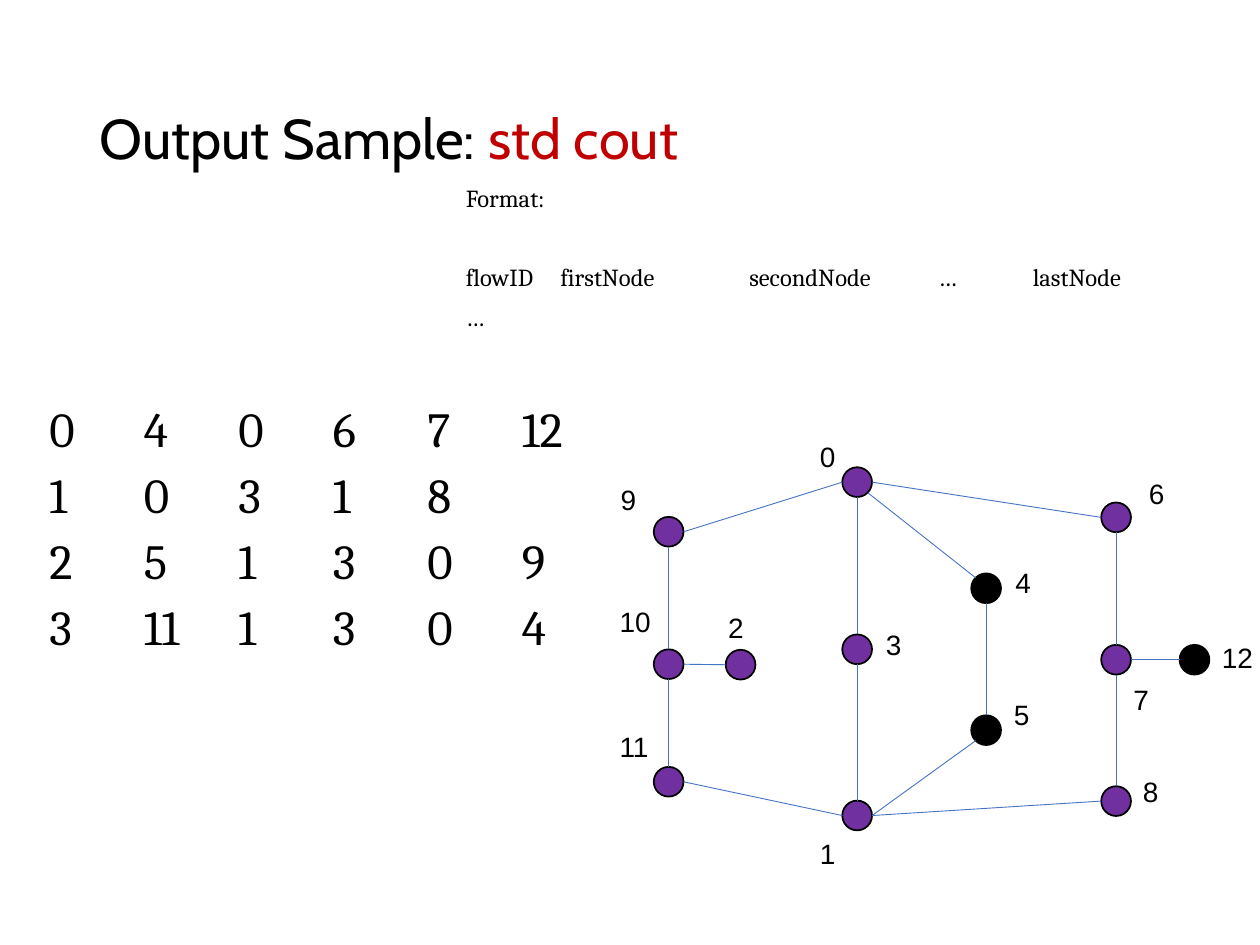
from dataclasses import dataclass
from math import hypot

from lxml import etree
from pptx import Presentation
from pptx import util as u
from pptx.dml.color import RGBColor
from pptx.enum import shapes, text
from pptx.oxml import ns

COLORS = {"ink": "000000", "accent": "C00000", "path": "7030A0", "edge": "4472C4"}
DIAMETER = 0.6
TAB_STEP = u.Cm(1.905)


@dataclass(frozen=True)
class Node:
    """A graph node: centre, label corner (cm) and fill colour."""
    x: float
    y: float
    label_x: float
    label_y: float
    color: str = "path"


@dataclass(frozen=True)
class Edge:
    """A line between two nodes, leaving each in a given direction."""
    start: int
    start_side: tuple[int, int]
    end: int
    end_side: tuple[int, int]


LEFT, RIGHT, UP, DOWN = (-1, 0), (1, 0), (0, -1), (0, 1)
UP_LEFT, DOWN_LEFT, DOWN_RIGHT = (-1, -1), (-1, 1), (1, 1)

NODES = [
    Node(17.28, 9.72, 16.28, 8.73),
    Node(17.28, 16.44, 16.28, 16.74),
    Node(14.93, 13.4, 14.43, 12.19),
    Node(17.28, 13.09, 17.61, 12.52),
    Node(19.88, 11.86, 20.22, 11.28, "ink"),
    Node(19.88, 14.72, 20.19, 13.93, "ink"),
    Node(22.5, 10.43, 22.91, 9.48),
    Node(22.5, 13.3, 22.6, 13.64),
    Node(22.5, 16.15, 22.79, 15.49),
    Node(13.48, 10.72, 12.26, 9.6),
    Node(13.48, 13.39, 12.24, 12.07),
    Node(13.48, 15.76, 12.24, 14.58),
    Node(24.08, 13.3, 24.38, 12.79, "ink"),
]

EDGES = [
    Edge(0, LEFT, 9, RIGHT),
    Edge(9, DOWN, 10, UP),
    Edge(10, DOWN, 11, UP),
    Edge(2, LEFT, 10, RIGHT),
    Edge(1, LEFT, 11, RIGHT),
    Edge(3, DOWN, 1, UP),
    Edge(0, DOWN, 3, UP),
    Edge(0, DOWN_RIGHT, 4, UP_LEFT),
    Edge(0, RIGHT, 6, LEFT),
    Edge(6, DOWN, 7, UP),
    Edge(7, DOWN, 8, UP),
    Edge(4, DOWN, 5, UP),
    Edge(5, DOWN_LEFT, 1, RIGHT),
    Edge(8, LEFT, 1, RIGHT),
    Edge(12, LEFT, 7, RIGHT),
]

FLOWS = [
    (0, 4, 0, 6, 7, 12),
    (1, 0, 3, 1, 8),
    (2, 5, 1, 3, 0, 9),
    (3, 11, 1, 3, 0, 4),
]


def rgb(name: str) -> RGBColor:
    """Look up a named colour."""
    return RGBColor.from_string(COLORS[name])


def place(box, left: float, top: float, width: float, height: float) -> None:
    """Set position and size in centimetres."""
    box.left, box.top = u.Cm(left), u.Cm(top)
    box.width, box.height = u.Cm(width), u.Cm(height)


def add_span(para, words: str, font: str, size: float, color: str = "ink") -> None:
    """Add one formatted run."""
    span = para.add_run()
    span.text = words
    span.font.name, span.font.size = font, u.Pt(size)
    span.font.color.rgb = rgb(color)


def fill_lines(frame, lines: list[str], size: float, gaps: dict[int, float]) -> None:
    """Write tabbed lines without bullets; gaps overrides the space before."""
    frame.word_wrap = True
    frame.auto_size = text.MSO_AUTO_SIZE.NONE
    for index, line in enumerate(lines):
        para = frame.paragraphs[0] if index == 0 else frame.add_paragraph()
        para.line_spacing = 0.9
        para.space_before = u.Pt(gaps.get(index, 7.5))
        props = para._p.get_or_add_pPr()
        for name, value in (("marL", 0), ("indent", 0), ("defTabSz", int(TAB_STEP))):
            props.set(name, str(value))
        etree.SubElement(props, ns.qn("a:buNone"))
        add_span(para, line, "Cambria", size)


def add_node(group, node: Node) -> None:
    """Draw a node's circle."""
    corner = (node.x - DIAMETER / 2, node.y - DIAMETER / 2)
    circle = group.shapes.add_shape(shapes.MSO_SHAPE.OVAL, *map(
        u.Cm, (*corner, DIAMETER, DIAMETER)))
    circle.shadow.inherit = False
    circle.fill.solid()
    circle.fill.fore_color.rgb = rgb(node.color)
    circle.line.color.rgb = rgb("ink")
    circle.line.width = u.Pt(1)


def rim_point(node: Node, side: tuple[int, int]) -> tuple[u.Cm, u.Cm]:
    """Find the point on a circle's rim in the given direction."""
    scale = DIAMETER / 2 / hypot(*side)
    return u.Cm(node.x + side[0] * scale), u.Cm(node.y + side[1] * scale)


def add_edge(group, edge: Edge) -> None:
    """Draw a line between the rims of two nodes."""
    line = group.shapes.add_connector(
        shapes.MSO_CONNECTOR.STRAIGHT,
        *rim_point(NODES[edge.start], edge.start_side),
        *rim_point(NODES[edge.end], edge.end_side))
    line.line.color.rgb = rgb("edge")
    line.line.width = u.Pt(0.5)
    etree.SubElement(line._element.spPr, ns.qn("a:effectLst"))


def add_label(group, number: int, node: Node) -> None:
    """Write a node's number next to it."""
    width = 0.84 if number < 10 else 1.14
    box = group.shapes.add_textbox(*map(
        u.Cm, (node.label_x, node.label_y, width, 0.94)))
    box.text_frame.word_wrap = False
    box.text_frame.auto_size = text.MSO_AUTO_SIZE.SHAPE_TO_FIT_TEXT
    add_span(box.text_frame.paragraphs[0], str(number), "Arial", 16)


def main() -> None:
    """Build the slide and save it."""
    deck = Presentation()
    deck.slide_width, deck.slide_height = u.Cm(25.4), u.Cm(19.05)
    page = deck.slides.add_slide(deck.slide_layouts[1])

    title = page.shapes.title
    place(title, 1.75, 1, 21.9, 3.68)
    title.text_frame.vertical_anchor = text.MSO_ANCHOR.MIDDLE
    title.text_frame.auto_size = text.MSO_AUTO_SIZE.NONE
    para = title.text_frame.paragraphs[0]
    para.alignment, para.line_spacing = text.PP_ALIGN.LEFT, 0.9
    add_span(para, "Output Sample: ", "Cabin", 32)
    add_span(para, "std cout", "Cabin", 32, "accent")

    flows = page.placeholders[1]
    place(flows, 0.74, 8.04, 11.48, 5.51)
    fill_lines(flows.text_frame, ["\t".join(map(str, flow)) for flow in FLOWS], 28, {})

    syntax = page.shapes.add_textbox(*map(u.Cm, (9.14, 3.63, 16.41, 3.63)))
    fill_lines(syntax.text_frame, [
        "Format:", "flowID\tfirstNode\t\tsecondNode\t…\tlastNode", "…"], 14, {1: 30})

    graph = page.shapes.add_group_shape()
    for node in NODES:
        add_node(graph, node)
    for edge in EDGES:
        add_edge(graph, edge)
    for number, node in enumerate(NODES):
        add_label(graph, number, node)

    deck.save("out.pptx")


main()
